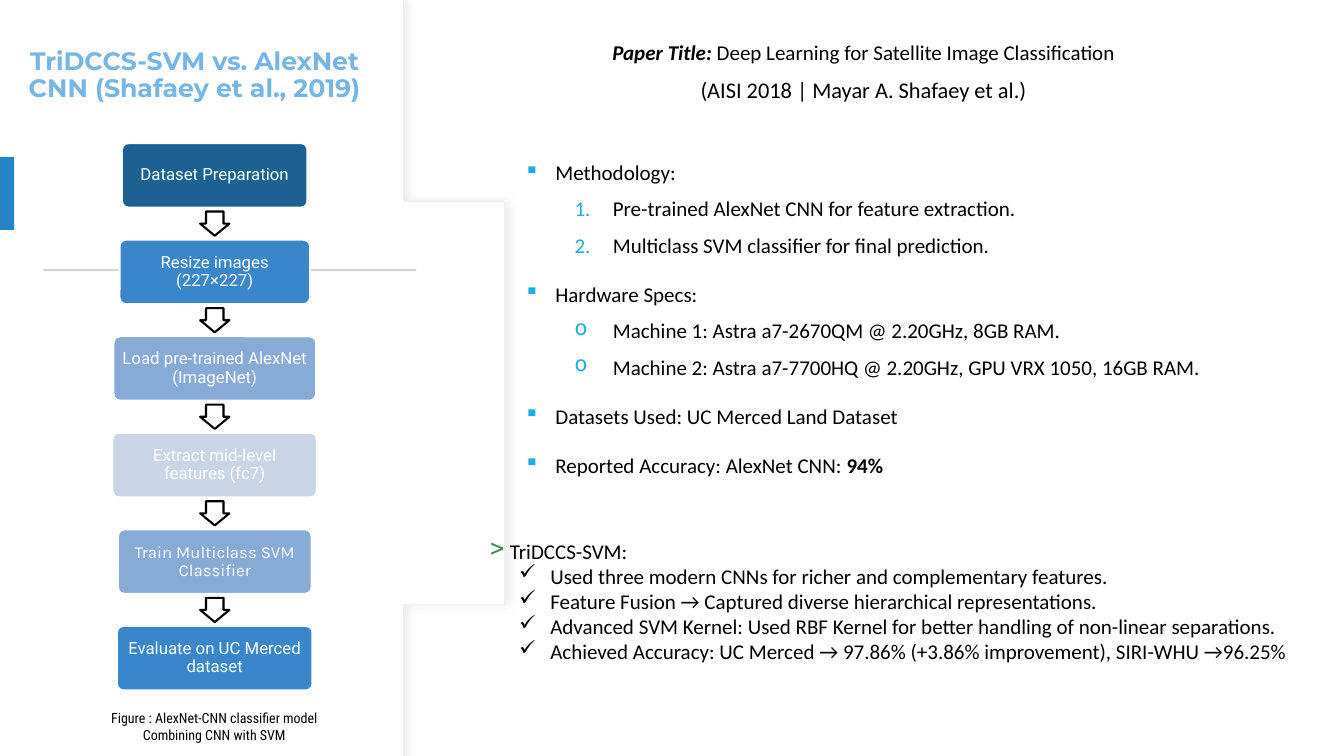
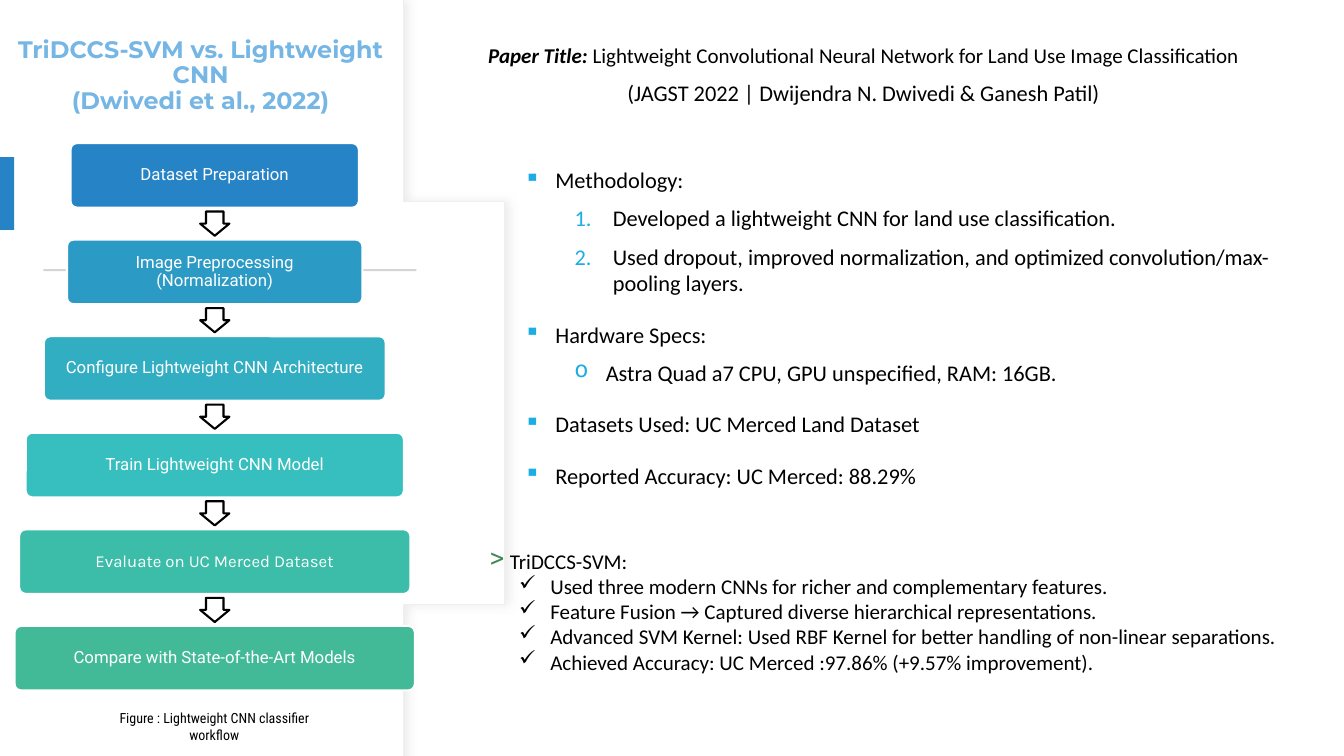
from dataclasses import dataclass

from lxml import etree
from pptx import Presentation
from pptx.dml.color import RGBColor
from pptx.enum.shapes import MSO_SHAPE
from pptx.enum.text import MSO_ANCHOR, MSO_AUTO_SIZE, PP_ALIGN
from pptx.oxml.ns import qn
from pptx.util import Inches, Pt

RECTANGLE = MSO_SHAPE.RECTANGLE
ROUNDED = MSO_SHAPE.ROUNDED_RECTANGLE
DOWN_ARROW = MSO_SHAPE.DOWN_ARROW
CENTER, LEFT = PP_ALIGN.CENTER, PP_ALIGN.LEFT
MIDDLE, TOP = MSO_ANCHOR.MIDDLE, MSO_ANCHOR.TOP
NO_AUTOFIT = MSO_AUTO_SIZE.NONE
TITLE_ONLY = 5


@dataclass(frozen=True)
class Theme:
    white: str = "FFFFFF"
    black: str = "000000"
    title: str = "75B6E5"
    tab: str = "2683C6"
    rule: str = "D5D5D5"
    panel_edge: str = "EFEFEF"
    panel_shadow: str = "D9D9D9"
    marker: str = "1CADE4"
    result_marker: str = "3E8853"
    title_font: str = "Montserrat"
    body_font: str = "Calibri"
    step_font: str = "Roboto"
    accent_step_font: str = "Karla"
    caption_font: str = "Roboto Condensed"
    body_size: int = 15
    source_size: int = 16
    step_size: int = 12
    caption_size: int = 10


THEME = Theme()
BODY = {"name": THEME.body_font, "size": THEME.body_size, "color": THEME.black}

# Flow chart geometry, in inches
FLOW_CENTER, FLOW_TOP, FLOW_LAST_TOP = 2.13, 1.42, 6.21
STEP_HEIGHT, ARROW_WIDTH, ARROW_HEIGHT = 0.64, 0.29, 0.24
ACCENT_STEP = 4

# Paragraph kinds: level, left margin, hang, bullet and spacing
SECTION = {"level": 0, "left": 0.31, "hang": 0.31, "bullet": "▪",
           "bullet_color": THEME.marker, "line_spacing": 1.5, "space_after": Pt(8)}
NUMBERED = {"level": 1, "left": 0.88, "hang": 0.38, "bullet": "number",
            "bullet_color": THEME.marker, "space_after": Pt(8)}
MACHINE = {**NUMBERED, "bullet": "o"}
SINGLE_MACHINE = {**MACHINE, "left": 0.81, "hang": 0.31}
RESULT_HEAD = {"level": 0, "left": 0.41, "hang": 0.2, "bullet": ">", "bullet_scale": 120,
               "bullet_color": THEME.result_marker, "line_spacing": 1.8}
RESULT = {"level": 1, "left": 0.81, "hang": 0.31, "bullet": "✓",
          "bullet_color": THEME.black}
CENTERED = {"alignment": CENTER, "space_after": Pt(8)}

SHARED_RESULTS = [
    (RESULT_HEAD, "TriDCCS-SVM:"),
    (RESULT, "Used three modern CNNs for richer and complementary features."),
    (RESULT, "Feature Fusion → Captured diverse hierarchical representations."),
    (RESULT, "Advanced SVM Kernel: Used RBF Kernel for better handling of "
             "non-linear separations."),
]

COMPARISONS = [
    {
        "title": "TriDCCS-SVM vs. AlexNet CNN (Shafaey et al., 2019)",
        "title_size": 18, "title_width": 3.74,
        "caption": "Figure : AlexNet-CNN classifier model Combining CNN with SVM",
        "steps": [
            ("Dataset Preparation", 1.84, "1C6192"),
            ("Resize images (227×227)", 1.89, "3A86CB"),
            ("Load pre-trained AlexNet (ImageNet)", 2.01, "86ABD6"),
            ("Extract mid-level features (fc7)", 2.03, "CAD6E8"),
            ("Train Multiclass SVM Classifier", 1.92, "86ABD6"),
            ("Evaluate on UC Merced dataset", 1.94, "3A86CB"),
        ],
        "paper": "Deep Learning for Satellite Image Classification",
        "source": "(AISI 2018 | Mayar A. Shafaey et al.)",
        "paper_top": 0.23,
        "details": [
            (SECTION, "Methodology:"),
            (NUMBERED, "Pre-trained AlexNet CNN for feature extraction."),
            (NUMBERED, "Multiclass SVM classifier for final prediction."),
            (SECTION, "Hardware Specs:"),
            (MACHINE, "Machine 1: Astra a7-2670QM @ 2.20GHz, 8GB RAM."),
            (MACHINE, "Machine 2: Astra a7-7700HQ @ 2.20GHz, GPU VRX 1050, 16GB RAM."),
            (SECTION, "Datasets Used: UC Merced Land Dataset"),
            (SECTION, "Reported Accuracy: AlexNet CNN: ", "94%"),
        ],
        "details_top": 1.41, "details_height": 3.37, "details_size": 15,
        "accuracy": "Achieved Accuracy: UC Merced → 97.86% (+3.86% improvement), "
                    "SIRI-WHU →96.25%",
        "results_top": 5.09,
    },
    {
        "title": "TriDCCS-SVM vs. Lightweight CNN\v(Dwivedi et al., 2022)",
        "title_size": 17, "title_width": 3.86,
        "caption": "Figure : Lightweight CNN classifier workflow",
        "steps": [
            ("Dataset Preparation", 2.86, "2683C6"),
            ("Image Preprocessing (Normalization)", 2.93, "2B9AC4"),
            ("Configure Lightweight CNN Architecture", 3.39, "31AEC2"),
            ("Train Lightweight CNN Model", 3.75, "36BFBE"),
            ("Evaluate on UC Merced Dataset", 3.88, "3CBDA9"),
            ("Compare with State-of-the-Art Models", 3.97, "42BA97"),
        ],
        "paper": "Lightweight Convolutional Neural Network for Land Use Image Classification",
        "source": "(JAGST 2022 | Dwijendra N. Dwivedi & Ganesh Patil)",
        "paper_top": 0.26,
        "details": [
            (SECTION, "Methodology:"),
            (NUMBERED, "Developed a lightweight CNN for land use classification."),
            (NUMBERED, "Used dropout, improved normalization, and optimized "
                       "convolution/max-pooling layers."),
            (SECTION, "Hardware Specs:"),
            (SINGLE_MACHINE, "Astra Quad a7 CPU, GPU unspecified, RAM: 16GB."),
            (SECTION, "Datasets Used: UC Merced Land Dataset"),
            (SECTION, "Reported Accuracy: UC Merced: 88.29%"),
        ],
        "details_top": 1.47, "details_height": 3.43, "details_size": 16,
        "accuracy": "Achieved Accuracy: UC Merced :97.86% (+9.57% improvement).",
        "results_top": 5.19,
    },
]


def format_font(font, values):
    for name, value in values.items():
        if name == "color":
            font.color.rgb = RGBColor.from_string(value)
        else:
            setattr(font, name, Pt(value) if name == "size" else value)


def format_frame(frame, anchor=TOP, margins=(0.1, 0.05), auto_size=NO_AUTOFIT):
    """Margins are the side inset and the top and bottom inset."""
    side, edge = (Inches(margin) for margin in margins)
    values = {"word_wrap": True, "auto_size": auto_size, "vertical_anchor": anchor,
              "margin_left": side, "margin_right": side,
              "margin_top": edge, "margin_bottom": edge}
    for name, value in values.items():
        setattr(frame, name, value)


def add_bullet(para, kind):
    properties = para._p.get_or_add_pPr()
    properties.set("marL", str(Inches(kind["left"])))
    properties.set("indent", str(-Inches(kind["hang"])))
    color = etree.SubElement(properties, qn("a:buClr"))
    etree.SubElement(color, qn("a:srgbClr"), val=kind["bullet_color"])
    if "bullet_scale" in kind:
        etree.SubElement(properties, qn("a:buSzPct"), val=str(kind["bullet_scale"] * 1000))
    if kind["bullet"] == "number":
        etree.SubElement(properties, qn("a:buAutoNum"), type="arabicPeriod")
    else:
        etree.SubElement(properties, qn("a:buChar"), char=kind["bullet"])


def write_paragraph(para, kind, spans):
    """Spans are pairs of text and font values."""
    if "bullet" in kind:
        add_bullet(para, kind)
    for name in ("level", "alignment", "line_spacing", "space_after"):
        if name in kind:
            setattr(para, name, kind[name])
    for text, values in spans:
        span = para.add_run()
        span.text = text
        format_font(span.font, values)


def add_text(slide, area, paragraphs, **frame_values):
    box = slide.shapes.add_textbox(*map(Inches, area))
    frame = box.text_frame
    format_frame(frame, **frame_values)
    for number, (kind, spans) in enumerate(paragraphs):
        para = frame.add_paragraph() if number else frame.paragraphs[0]
        write_paragraph(para, kind, spans)


def paint(shape, fill, line=None, width=1.5):
    shape.shadow.inherit = False
    shape.fill.solid()
    shape.fill.fore_color.rgb = RGBColor.from_string(fill)
    if line:
        shape.line.color.rgb = RGBColor.from_string(line)
        shape.line.width = Pt(width)
    else:
        shape.line.fill.background()


def add_shape(slide, preset, area, fill, line=None):
    shape = slide.shapes.add_shape(preset, *map(Inches, area))
    paint(shape, fill, line)
    return shape


def panel_outline(count=40):
    """Points of the curved right edge, from top to bottom."""
    upper = [(3.62, 0.08), (4.39, 1.02), (4.87, 2.32), (4.87, 3.75)]
    points = [(3.55, 0)]
    for number in range(count + 1):
        t = number / count
        weights = ((1 - t) ** 3, 3 * t * (1 - t) ** 2, 3 * t * t * (1 - t), t ** 3)
        points.append(tuple(sum(weight * point[axis] for weight, point in zip(weights, upper))
                            for axis in (0, 1)))
    return points + [(x, 7.5 - y) for x, y in reversed(points[:-1])]


def add_panel(slide):
    builder = slide.shapes.build_freeform(0, 0, scale=Inches(1))
    builder.add_line_segments([*panel_outline(), (0, 7.5)], close=True)
    panel = builder.convert_to_shape()
    paint(panel, THEME.white, THEME.panel_edge, 0.75)
    effects = panel.element.spPr.find(qn("a:effectLst"))
    shadow = etree.SubElement(effects, qn("a:outerShdw"), blurRad=str(Pt(7)),
                              dist=str(Pt(3)), dir="0", algn="l", rotWithShape="0")
    color = etree.SubElement(shadow, qn("a:srgbClr"), val=THEME.panel_shadow)
    etree.SubElement(color, qn("a:alpha"), val="50000")
    slide.shapes.element.insert(2, panel.element)  # behind the title


def add_title(slide, text, size, width):
    title = slide.shapes.title
    title.left, title.top, title.width, title.height = map(Inches, (0.06, 0.16, width, 1.19))
    format_frame(title.text_frame, anchor=MIDDLE)
    title.text_frame.text = text
    para = title.text_frame.paragraphs[0]
    para.alignment, para.line_spacing = CENTER, 0.9
    for span in para.runs:
        format_font(span.font, {"name": THEME.title_font, "size": size,
                                "bold": True, "color": THEME.title})


def add_flow(slide, steps):
    """Stack the steps evenly with an arrow in each gap."""
    pitch = (FLOW_LAST_TOP - FLOW_TOP) / (len(steps) - 1)
    arrow_offset = (pitch + STEP_HEIGHT - ARROW_HEIGHT) / 2
    for number, (text, width, color) in enumerate(steps):
        top = FLOW_TOP + number * pitch
        step = add_shape(slide, ROUNDED, (FLOW_CENTER - width / 2, top, width, STEP_HEIGHT),
                         color, THEME.white)
        step.adjustments[0] = 0.1
        format_frame(step.text_frame, anchor=MIDDLE, margins=(0.07, 0.07))
        font = THEME.accent_step_font if number == ACCENT_STEP else THEME.step_font
        values = {"name": font, "size": THEME.step_size, "color": THEME.white}
        write_paragraph(step.text_frame.paragraphs[0],
                        {"alignment": CENTER, "line_spacing": 0.9}, [(text, values)])
        if number < len(steps) - 1:
            arrow = add_shape(slide, DOWN_ARROW,
                              (FLOW_CENTER - ARROW_WIDTH / 2, top + arrow_offset,
                               ARROW_WIDTH, ARROW_HEIGHT), THEME.white, THEME.black)
            arrow.adjustments[0], arrow.adjustments[1] = 0.6, 0.5


def add_paper(slide, paper, source, top):
    add_text(slide, (4.35, top, 8.43, 0.96), [
        (CENTERED, [("Paper Title: ", {**BODY, "bold": True, "italic": True}),
                    (paper, BODY)]),
        (CENTERED, [(source, {**BODY, "size": THEME.source_size})]),
    ], anchor=MIDDLE, margins=(0, 0.05))


def add_bullets(slide, area, items, size):
    """Each item is a kind, its text and, where present, a bold ending."""
    values = {**BODY, "size": size}
    paragraphs = []
    for kind, text, *endings in items:
        spans = [(text, values)] + [(ending, {**values, "bold": True}) for ending in endings]
        paragraphs.append(({**kind, "alignment": LEFT}, spans))
    add_text(slide, area, paragraphs)


def add_comparison(deck, content):
    slide = deck.slides.add_slide(deck.slide_layouts[TITLE_ONLY])
    add_panel(slide)
    add_title(slide, content["title"], content["title_size"], content["title_width"])
    add_shape(slide, RECTANGLE, (0, 1.56, 0.14, 0.72), THEME.tab)
    add_shape(slide, RECTANGLE, (0.43, 2.67, 3.7, 0.02), THEME.rule)
    caption_font = {"name": THEME.caption_font, "size": THEME.caption_size,
                    "color": THEME.black}
    add_text(slide, (0.89, 6.99, 2.47, 0.44),
             [({"alignment": CENTER}, [(content["caption"], caption_font)])])
    add_flow(slide, content["steps"])
    add_paper(slide, content["paper"], content["source"], content["paper_top"])
    add_bullets(slide, (5.1, content["details_top"], 7.68, content["details_height"]),
                content["details"], content["details_size"])
    add_bullets(slide, (4.55, content["results_top"], 8.7, 1.57),
                [*SHARED_RESULTS, (RESULT, content["accuracy"])], THEME.body_size)


def main():
    deck = Presentation()
    deck.slide_width, deck.slide_height = Inches(13.33), Inches(7.5)
    for content in COMPARISONS:
        add_comparison(deck, content)
    deck.save("out.pptx")


if __name__ == "__main__":
    main()
